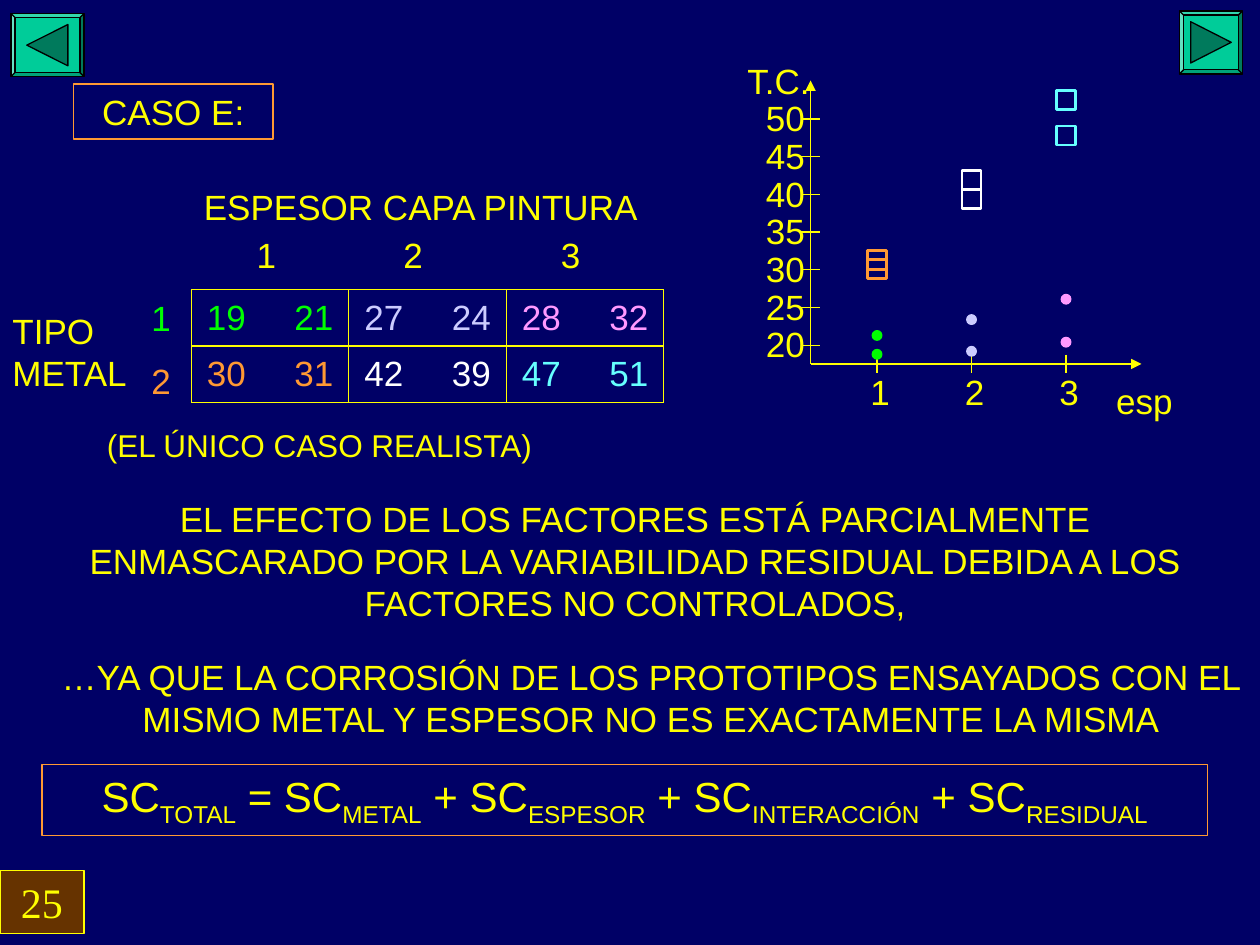
from lxml.etree import SubElement
from pptx import Presentation
from pptx.dml.color import RGBColor
from pptx.enum.shapes import MSO_CONNECTOR, MSO_SHAPE
from pptx.enum.text import MSO_ANCHOR, MSO_AUTO_SIZE, PP_ALIGN
from pptx.oxml.ns import qn
from pptx.util import Pt

NAVY = RGBColor(0x00, 0x00, 0x66)
YELLOW = RGBColor(0xFF, 0xFF, 0x00)
ORANGE = RGBColor(0xFF, 0x99, 0x33)
GREEN = RGBColor(0x00, 0xFF, 0x00)
LAVENDER = RGBColor(0xCC, 0xCC, 0xFF)
PINK = RGBColor(0xFF, 0x99, 0xFF)
WHITE = RGBColor(0xFF, 0xFF, 0xFF)
CYAN = RGBColor(0x66, 0xFF, 0xFF)
BROWN = RGBColor(0x66, 0x33, 0x00)
TEAL = RGBColor(0x00, 0xCC, 0x99)
DARK_TEAL = RGBColor(0x00, 0x7A, 0x5C)
BLACK = RGBColor(0x00, 0x00, 0x00)

prs = Presentation()
prs.slide_width, prs.slide_height = Pt(720), Pt(540)
s = prs.slides.add_slide(prs.slide_layouts[5])
s.background.fill.solid()
s.background.fill.fore_color.rgb = NAVY


def put_text(sp, runs, size=20, color=YELLOW, align=PP_ALIGN.LEFT, font="Arial"):
    """Write runs into sp; every second run is a subscript."""
    tf = sp.text_frame
    tf.word_wrap = True
    tf.auto_size = MSO_AUTO_SIZE.NONE
    tf.vertical_anchor = MSO_ANCHOR.TOP
    p = tf.paragraphs[0]
    p.alignment = align
    for i, text in enumerate(runs):
        r = p.add_run()
        r.text = text
        r.font.name, r.font.size, r.font.color.rgb = font, Pt(size), color
        if i % 2:
            r.font._element.set("baseline", "-25000")


def add_shape(kind, x, y, w, h, fill, line, weight=0.75):
    sp = s.shapes.add_shape(kind, Pt(x), Pt(y), Pt(w), Pt(h))
    sp.shadow.inherit = False
    if fill is None:
        sp.fill.background()
    else:
        sp.fill.solid()
        sp.fill.fore_color.rgb = fill
    sp.line.color.rgb, sp.line.width = line, Pt(weight)
    return sp


# Title
title = s.shapes.title
title.left, title.top, title.width, title.height = Pt(42), Pt(48), Pt(114), Pt(31.5)
title.line.color.rgb, title.line.width = ORANGE, Pt(0.75)
put_text(title, ["CASO E:"], align=PP_ALIGN.CENTER)

# Navigation buttons: box, then the arrow's base x, tip x, top and bottom
for box, base, tip, top, bottom in (
    ((674, 6.3, 36, 36), 680.4, 703.6, 12.4, 36),
    ((6.3, 7.8, 41.7, 36), 38.8, 15.3, 14, 37.6),
):
    button = add_shape(MSO_SHAPE.BEVEL, *box, TEAL, BLACK)
    button.adjustments[0] = 0.065
    outline = s.shapes.build_freeform(Pt(base), Pt(top))
    outline.add_line_segments([(Pt(tip), Pt((top + bottom) / 2)), (Pt(base), Pt(bottom))])
    arrow = outline.convert_to_shape()
    arrow.shadow.inherit = False
    arrow.fill.solid()
    arrow.fill.fore_color.rgb = DARK_TEAL
    arrow.line.color.rgb, arrow.line.width = BLACK, Pt(0.75)

# Corrosion table: two prototypes per cell
ROWS = (
    (("19\t21", GREEN), ("27\t24", LAVENDER), ("28\t32", PINK)),
    (("30\t31", ORANGE), ("42\t39", WHITE), ("47\t51", CYAN)),
)
table = s.shapes.add_table(2, 3, Pt(109.4), Pt(165.6), Pt(270), Pt(64.2)).table
table.first_row = table.horz_banding = False
for col in table.columns:
    col.width = Pt(90)
for row, cells in zip(table.rows, ROWS):
    row.height = Pt(32.1)
    for cell, (text, color) in zip(row.cells, cells):
        cell.fill.background()
        cell.margin_left, cell.margin_right = Pt(8.9), Pt(4)
        cell.vertical_anchor = MSO_ANCHOR.MIDDLE
        p = cell.text_frame.paragraphs[0]
        tabs = SubElement(p._p.get_or_add_pPr(), qn("a:tabLst"))
        SubElement(tabs, qn("a:tab"), pos=str(Pt(50)), algn="l")
        r = p.add_run()
        r.text = text
        r.font.name, r.font.size, r.font.color.rgb = "Arial", Pt(20), color
        tc_pr = cell._tc.get_or_add_tcPr()
        for i, side in enumerate(("lnL", "lnR", "lnT", "lnB")):
            ln = tc_pr.makeelement(qn(f"a:{side}"), {"w": str(Pt(0.75))})
            fill = SubElement(ln, qn("a:solidFill"))
            SubElement(fill, qn("a:srgbClr"), val=str(YELLOW))
            tc_pr.insert(i, ln)

# Plot scales
AXIS_X, AXIS_Y = 463.2, 208
plot_x = [501.2 + 54 * i for i in range(3)]
Y_20, UNIT = 197.3, 4.31

# Labels of the table and the plot: text, x, y, width, height, size, colour
labels = [
    ("ESPESOR CAPA PINTURA", 109.4, 102.2, 288, 31.5, 20, YELLOW),
    ("TIPO METAL", 0, 173.5, 90, 55.5, 20, YELLOW),
    ("1", 79.4, 165.6, 60, 31.5, 20, GREEN),
    ("2", 79.4, 201.6, 60, 31.5, 20, ORANGE),
    ("(EL ÚNICO CASO REALISTA)", 54, 240, 324, 28.8, 18, YELLOW),
    ("T.C.", 420, 30.2, 60, 31.5, 20, YELLOW),
    ("esp", 630.7, 213.3, 60, 31.5, 20, YELLOW),
]
for i, x in enumerate((139.6, 223.4, 313.4)):
    labels.append((str(i + 1), x, 129.6, 60, 31.5, 20, YELLOW))
    labels.append((str(i + 1), plot_x[i] - 10.9, 208.2, 37.4, 31.5, 20, YELLOW))

# Axes and ticks: x1, y1, x2, y2, arrowhead
lines = [(AXIS_X, AXIS_Y, AXIS_X, 46, True), (AXIS_X, AXIS_Y, 652.3, AXIS_Y, True)]
lines += [(x, AXIS_Y - 5.4, x, AXIS_Y + 5.4, False) for x in plot_x]
for value in range(20, 51, 5):
    y = Y_20 - (value - 20) * UNIT
    lines.append((AXIS_X - 5.4, y, AXIS_X + 5.4, y, False))
    labels.append((str(value), 430.6, y - 16.3, 37.4, 31.5, 20, YELLOW))

for x1, y1, x2, y2, arrowhead in lines:
    c = s.shapes.add_connector(MSO_CONNECTOR.STRAIGHT, Pt(x1), Pt(y1), Pt(x2), Pt(y2))
    c.line.color.rgb, c.line.width = YELLOW, Pt(0.75)
    SubElement(c._element.spPr, qn("a:effectLst"))
    if arrowhead:
        SubElement(c.line._get_or_add_ln(), qn("a:tailEnd"), type="triangle")

for text, x, y, w, h, size, color in labels:
    sp = s.shapes.add_textbox(Pt(x), Pt(y), Pt(w), Pt(h))
    put_text(sp, [text], size, color)

# Plotted values by thickness: metal 1 as dots, metal 2 as squares
DOTS = ((GREEN, 18.8, 21.3), (LAVENDER, 19.2, 23.4), (PINK, 20.4, 26.1))
SQUARES = ((ORANGE, 30.1, 31.3), (WHITE, 41.9, 39.4), (CYAN, 52.5, 47.8))
for kind, size, weight, series in (
    (MSO_SHAPE.OVAL, 5.5, 0.75, DOTS),
    (MSO_SHAPE.RECTANGLE, 10.8, 1.5, SQUARES),
):
    for x, (color, *values) in zip(plot_x, series):
        for value in values:
            y = Y_20 - (value - 20) * UNIT
            fill = color if kind == MSO_SHAPE.OVAL else None
            add_shape(kind, x - size / 2, y - size / 2, size, size, fill, color, weight)

# Conclusions
for text, y, w, h in (
    ("EL EFECTO DE LOS FACTORES ESTÁ PARCIALMENTE ENMASCARADO POR LA VARIABILIDAD "
     "RESIDUAL DEBIDA A LOS FACTORES NO CONTROLADOS,", 280.8, 678, 79.5),
    ("…YA QUE LA CORROSIÓN DE LOS PROTOTIPOS ENSAYADOS CON EL MISMO METAL Y ESPESOR "
     "NO ES EXACTAMENTE LA MISMA", 370.8, 696, 55.5),
):
    sp = s.shapes.add_textbox(Pt(24), Pt(y), Pt(w), Pt(h))
    put_text(sp, [text], align=PP_ALIGN.CENTER)

# Sum of squares breakdown
formula = add_shape(MSO_SHAPE.RECTANGLE, 24, 437, 666, 40.3, None, ORANGE)
put_text(formula, ["SC", "TOTAL", " = SC", "METAL", " + SC", "ESPESOR", " + SC",
                   "INTERACCIÓN", " + SC", "RESIDUAL"], 24, align=PP_ALIGN.CENTER)

# Slide number
number = add_shape(MSO_SHAPE.RECTANGLE, 0, 497.3, 48, 36.2, BROWN, YELLOW)
put_text(number, ["25"], 24, align=PP_ALIGN.CENTER, font="Times New Roman")

prs.save("out.pptx")
